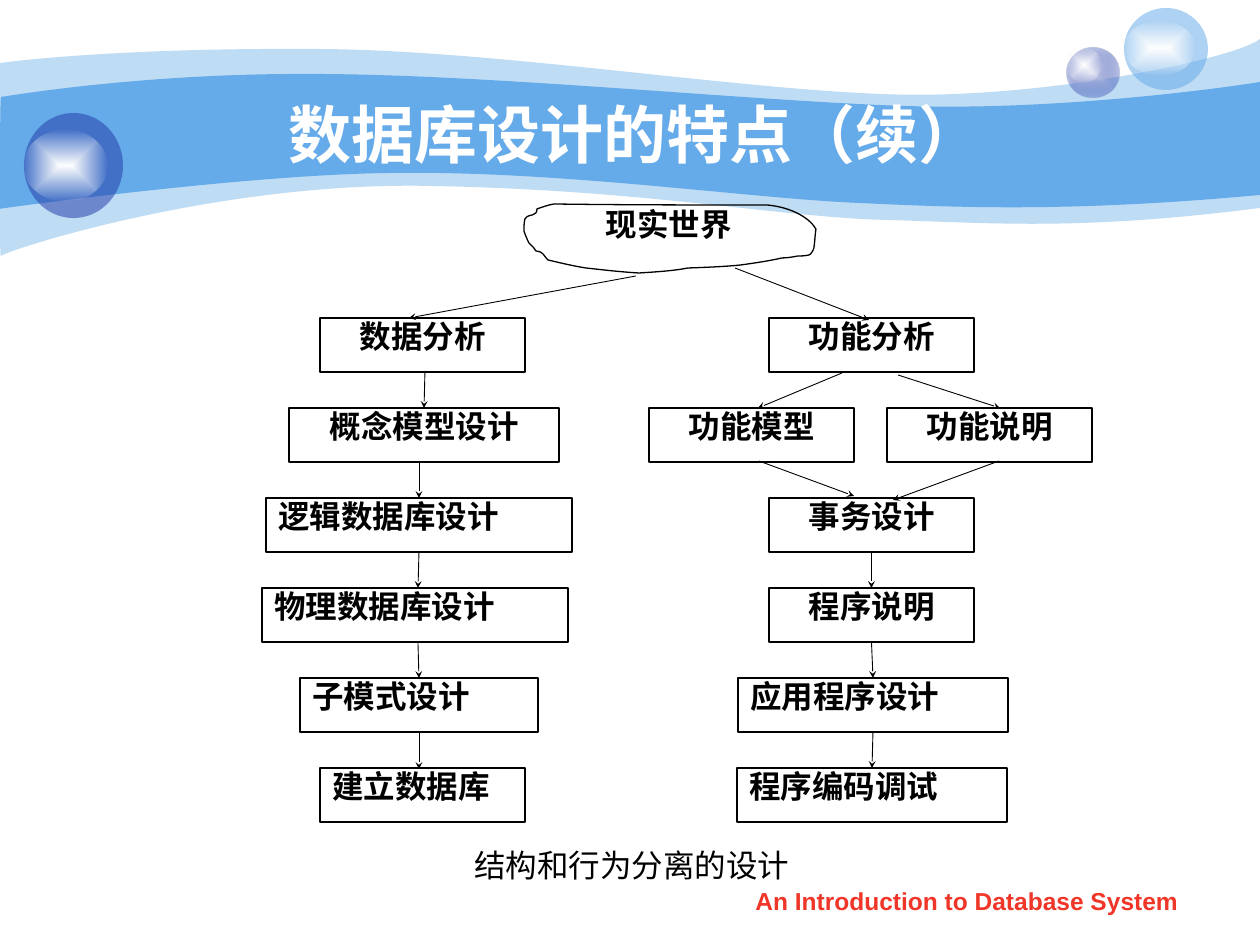
from lxml.etree import SubElement
from pptx import Presentation
from pptx.dml.color import RGBColor
from pptx.enum.shapes import MSO_CONNECTOR, MSO_SHAPE
from pptx.enum.text import MSO_ANCHOR, PP_ALIGN
from pptx.oxml import parse_xml
from pptx.oxml.ns import nsdecls, qn
from pptx.util import Emu, Pt

SCALE = 914400 / 126
BLACK = RGBColor(0, 0, 0)
WHITE = RGBColor(255, 255, 255)
GLOW = RGBColor(0xFE, 0xFE, 0xFE)
SKY = RGBColor(0x65, 0xAA, 0xE9)
NAVY = RGBColor(0x23, 0x3D, 0xA9)
LILAC = RGBColor(0xC6, 0xCC, 0xE8)
RED = RGBColor(0xF0, 0x36, 0x28)
SERIF = "Times New Roman"
SANS = "Arial"
MID = PP_ALIGN.CENTER
LEFT = PP_ALIGN.LEFT
EVEN = PP_ALIGN.JUSTIFY
TOP, ROW, TALL = 318, 90, 54

BACK = [
    (0, 63), (30, 59), (135, 48), (311, 49), (486, 49), (724, 88), (881, 94),
    (1036, 101), (1235, 59), (1260, 39), (1260, 208),
    (1081, 231), (992, 223), (888, 220), (784, 218), (649, 190), (432, 186),
    (217, 181), (5, 251), (1, 256), (-1, 262), (0, 95), (0, 63),
]
FRONT = [
    (1, 97), (3, 97), (139, 73), (312, 74), (486, 74), (750, 101), (905, 106),
    (1060, 111), (1230, 87), (1260, 82), (1260, 195),
    (1075, 212), (964, 208), (859, 203), (755, 199), (563, 171), (399, 173),
    (256, 173), (-3, 209), (-1, 209), (0, 209), (0, 97), (1, 97),
]
EDGE = 10
CLOUD = [
    (537, 209), (543, 207), (548, 205), (554, 204), (625, 205), (697, 205),
    (767, 205), (790, 207), (809, 217), (816, 229), (815, 236), (815, 242),
    (814, 248), (814, 249), (811, 255), (809, 255), (805, 256), (801, 256),
    (798, 256), (793, 257), (787, 258), (782, 258), (769, 261), (755, 263),
    (741, 265), (723, 267), (688, 268), (688, 268), (673, 271), (655, 272),
    (639, 273), (621, 272), (604, 270), (586, 268), (573, 266), (561, 263),
    (548, 260), (543, 255), (544, 252), (536, 251), (534, 249), (534, 247),
    (533, 247), (532, 246), (530, 244), (529, 243), (527, 239), (525, 234),
    (524, 231), (524, 227), (524, 223), (525, 219), (528, 214), (531, 217),
    (536, 213), (537, 212), (537, 210), (537, 209),
]
BOXES = [
    ("概念模型设计", 1, 289, 270, MID),
    ("子模式设计", 4, 300, 238, EVEN),
    ("物理数据库设计", 3, 262, 306, EVEN),
    ("逻辑数据库设计", 2, 266, 306, EVEN),
    ("建立数据库", 5, 320, 205, EVEN),
    ("数据分析", 0, 320, 205, MID),
    ("功能分析", 0, 769, 205, MID),
    ("功能模型", 1, 649, 205, MID),
    ("功能说明", 1, 887, 205, MID),
    ("事务设计", 2, 769, 205, MID),
    ("程序说明", 3, 769, 205, MID),
    ("应用程序设计", 4, 738, 270, EVEN),
    ("程序编码调试", 5, 737, 270, EVEN),
]
ARROWS = [
    (636, 276, 409, 318, None, None),
    (425, 371, 425, 408, None, "概念模型设计"),
    (419, 462, 419, 498, None, "逻辑数据库设计"),
    (418, 553, 418, 588, "逻辑数据库设计", None),
    (418, 643, 418, 678, None, "子模式设计"),
    (419, 733, 419, 769, "子模式设计", None),
    (735, 268, 869, 320, None, None),
    (842, 373, 758, 408, None, None),
    (898, 375, 1000, 408, None, None),
    (759, 461, 854, 496, None, None),
    (999, 461, 893, 500, None, None),
    (872, 551, 872, 588, "事务设计", "程序说明"),
    (873, 642, 873, 678, "程序说明", "应用程序设计"),
    (874, 733, 874, 769, "应用程序设计", "程序编码调试"),
]


def px(*nums):
    return [Emu(round(num * SCALE)) for num in nums]


def add_curve(slide, points, edge=None):
    maker = slide.shapes.build_freeform(*px(*points[0]))
    maker.add_line_segments([px(*point) for point in points[1:]], close=True)
    shape = maker.convert_to_shape()
    shape.shadow.inherit = False
    steps = list(shape._element.iter(qn("a:lnTo")))
    if edge:
        del steps[edge - 1]
    for i in range(0, len(steps), 3):
        first, *rest = steps[i:i + 3]
        curve = SubElement(first.getparent(), qn("a:cubicBezTo"))
        first.getparent().replace(first, curve)
        curve.append(first[0])
        for step in rest:
            curve.append(step[0])
            step.getparent().remove(step)
    return shape


def tint(shape, color, alpha=100):
    shape.fill.solid()
    shape.fill.fore_color.rgb = color
    shape.line.fill.background()
    if alpha < 100:
        node = shape._element.spPr.find(".//" + qn("a:srgbClr"))
        node.append(parse_xml(f'<a:alpha {nsdecls("a")} val="{alpha * 1000}"/>'))


def shade(shape, inner, outer, alpha):
    shape.line.fill.background()
    shape.fill.background()
    old = shape._element.spPr.find(qn("a:noFill"))
    new = parse_xml(
        f'<a:gradFill {nsdecls("a")} rotWithShape="1"><a:gsLst>'
        f'<a:gs pos="0"><a:srgbClr val="{inner}"/></a:gs>'
        f'<a:gs pos="100000"><a:srgbClr val="{outer}">'
        f'<a:alpha val="{alpha * 1000}"/></a:srgbClr></a:gs></a:gsLst>'
        '<a:path path="rect"><a:fillToRect l="50000" t="50000" r="50000" b="50000"/>'
        '</a:path></a:gradFill>'
    )
    shape._element.spPr.replace(old, new)


def add_ball(slide, *place):
    ball = slide.shapes.add_shape(MSO_SHAPE.OVAL, *px(*place))
    ball.shadow.inherit = False
    return ball


def outline(shape):
    shape.fill.background()
    shape.line.color.rgb = BLACK
    shape.line.width = Pt(0.75)


def write(shape, text, size, color=BLACK, font=SERIF, bold=True, align=MID,
          anchor=MSO_ANCHOR.TOP, space=None, wrap=True):
    frame = shape.text_frame
    frame.text = text
    frame.word_wrap = wrap
    frame.vertical_anchor = anchor
    para = frame.paragraphs[0]
    para.alignment = align
    para.line_spacing = space
    face = para.runs[0].font
    face.name, face.size, face.bold = font, Pt(size), bold
    face.color.rgb = color


def add_text(slide, place, text, size, **style):
    write(slide.shapes.add_textbox(*px(*place)), text, size, **style)


def add_box(slide, text, row, left, width, align):
    box = slide.shapes.add_shape(
        MSO_SHAPE.RECTANGLE, *px(left, TOP + row * ROW, width, TALL))
    box.shadow.inherit = False
    outline(box)
    write(box, text, 18, align=align, space=0.8)
    return box


def add_arrow(slide, ends, start, stop):
    line = slide.shapes.add_connector(MSO_CONNECTOR.STRAIGHT, *px(*ends))
    if start:
        line.begin_connect(start, 2)
    if stop:
        line.end_connect(stop, 0)
    line.line.color.rgb = BLACK
    line.line.width = Pt(0.5)
    line.line._get_or_add_ln().append(
        parse_xml(f'<a:tailEnd {nsdecls("a")} type="stealth" w="sm" len="sm"/>'))
    line._element.spPr.append(parse_xml(f'<a:effectLst {nsdecls("a")}/>'))


def main():
    deck = Presentation()
    deck.slide_width, deck.slide_height = px(1260, 945)
    slide = deck.slides.add_slide(deck.slide_layouts[6])
    tint(add_curve(slide, BACK, EDGE), SKY, 41)
    tint(add_curve(slide, FRONT, EDGE), SKY)
    shade(add_ball(slide, 1067, 48, 53, 50), LILAC, NAVY, 31)
    shade(add_ball(slide, 1067, 48, 35, 34), WHITE, GLOW, 0)
    tint(add_ball(slide, 1124, 8, 84, 82), SKY, 53)
    shade(add_ball(slide, 1124, 21, 71, 54), WHITE, GLOW, 0)
    tint(add_ball(slide, 24, 113, 99, 105), NAVY, 53)
    shade(add_ball(slide, 24, 130, 83, 71), WHITE, GLOW, 0)
    add_text(slide, (126, 94, 1018, 78), "数据库设计的特点（续）", 36,
             color=WHITE, font=SANS, anchor=MSO_ANCHOR.MIDDLE)
    outline(add_curve(slide, CLOUD))
    add_text(slide, (570, 206, 198, 64), "现实世界", 18, space=0.8)
    boxes = {item[0]: add_box(slide, *item) for item in BOXES}
    for *ends, start, stop in ARROWS:
        add_arrow(slide, ends, boxes.get(start), boxes.get(stop))
    add_text(slide, (462, 840, 347, 50), "结构和行为分离的设计", 18,
             bold=False, align=LEFT, anchor=MSO_ANCHOR.MIDDLE, wrap=False)
    add_text(slide, (719, 880, 496, 44), "An Introduction to Database System",
             14, color=RED, font=SANS)
    deck.save("out.pptx")


if __name__ == "__main__":
    main()
